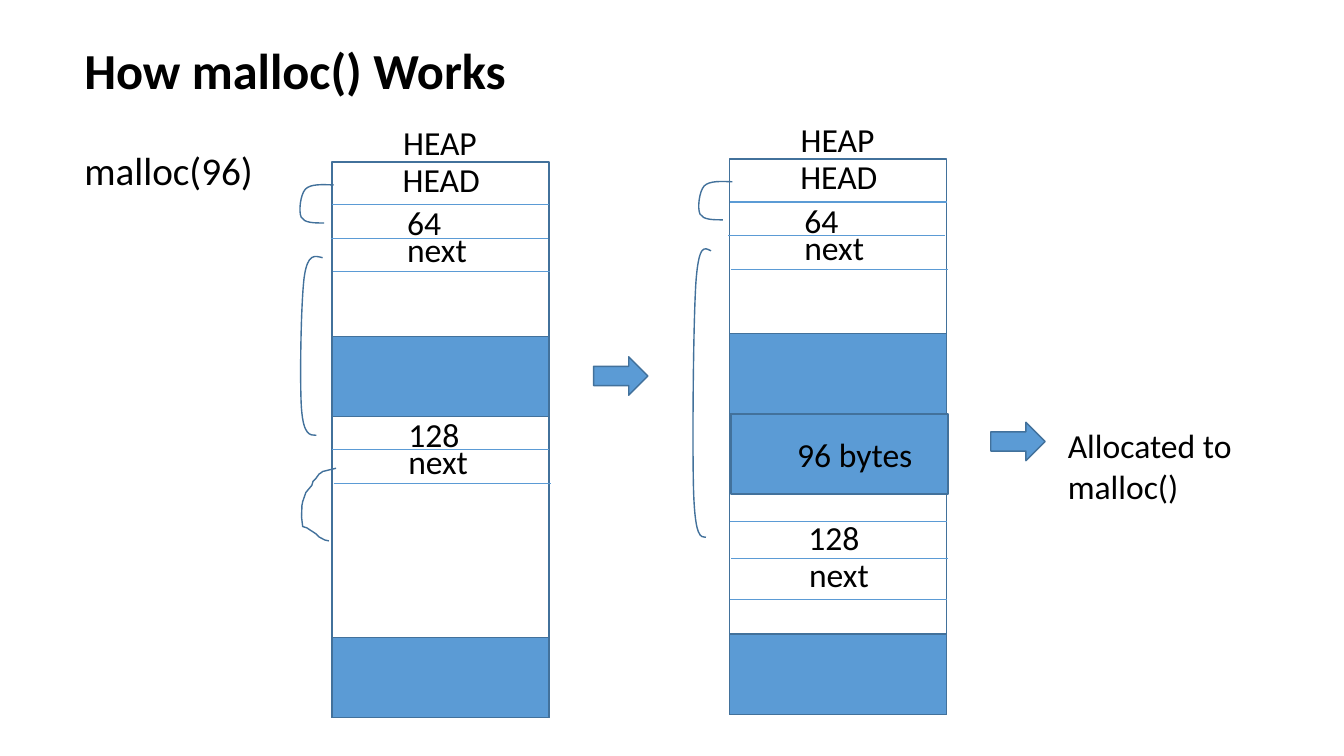
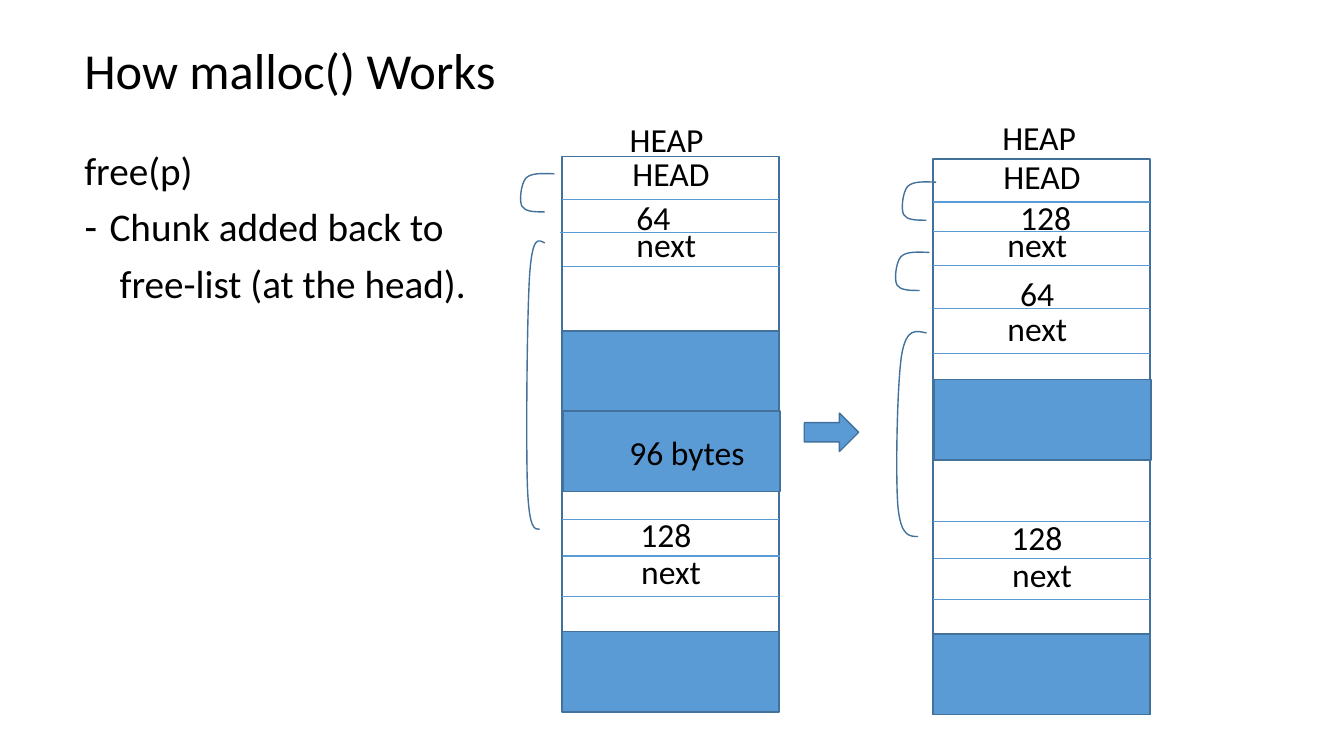
"""Build two slides showing how malloc() and free() change the heap."""
from lxml import etree
from pptx import Presentation
from pptx.dml.color import RGBColor
from pptx.enum.shapes import MSO_CONNECTOR, MSO_SHAPE
from pptx.enum.text import MSO_ANCHOR, MSO_AUTO_SIZE, PP_ALIGN
from pptx.oxml.ns import qn
from pptx.util import Cm, Pt

RECTANGLE, RIGHT_ARROW = MSO_SHAPE.RECTANGLE, MSO_SHAPE.RIGHT_ARROW
STRAIGHT = MSO_CONNECTOR.STRAIGHT
LEFT, TOP, MIDDLE = PP_ALIGN.LEFT, MSO_ANCHOR.TOP, MSO_ANCHOR.MIDDLE
NO_FIT = MSO_AUTO_SIZE.NONE

COLORS = {"text": "000000", "block": "5B9BD5", "edge": "42719B"}
FONT = "Calibri"
TITLE_SIZE, BODY_SIZE, LABEL_SIZE = 36, 28, 24
TITLE_BOX = (1.87, 0, 29.21, 3.68)
BODY_BOX = (1.87, 3.69, 29.67, 13.49)
HEAP_WIDTH, HEAP_HEIGHT, BLOCK_HEIGHT = 5.47, 14, 2.02
LABEL_HEIGHT = 1.27
LABEL_WIDTHS = {"HEAP": 2.39, "HEAD": 2.46, "64": 1.37, "128": 1.8,
                "next": 2.03, "96 bytes": 3.45}
ARROW_WIDTH, ARROW_HEIGHT = 1.37, 0.97
HOOK = (0.86, 0.97)

BRACKET = [
    (1, 0.01),
    (0.66, 0), (0.33, -0.02), (0.17, 0.12),
    (0.02, 0.27), (-0.03, 0.71), (0.05, 0.85),
    (0.14, 1), (0.43, 1), (0.72, 1),
]
LAST_LINK = [
    (0.1, 7.72), (-0.23, 7.8), (-0.33, 7.87), (-0.41, 7.98),
    (-0.48, 8.05), (-0.51, 8.15), (-0.66, 8.33), (-0.74, 8.56),
    (-0.76, 8.66), (-0.77, 8.95), (-0.74, 9.19), (-0.64, 9.22),
    (-0.41, 9.37), (-0.33, 9.45), (-0.18, 9.53), (-0.08, 9.55),
]

LOWER_CHUNK = [("128", 1.73, 8.89), ("next", 1.75, 9.83)]
LOWER_ROWS = [(0, 9.14), (0.04, 10.07), (0, 11.1)]
BEFORE = {
    "blocks": [(0, 4.4), (0, 11.98)],
    "rows": [(0, 1.08), (-0.04, 1.93), (0.03, 2.77), (0, 7.25), (0.04, 8.11)],
    "labels": [("64", 1.64, 0.89), ("next", 1.64, 1.57),
               ("128", 1.67, 6.23), ("next", 1.67, 6.9)],
}
ALLOCATED = {
    "blocks": [(0, 4.4), (0.03, 6.42), (0, 11.97)],
    "rows": [(0, 1.08), (-0.04, 1.93), (0.03, 2.78)] + LOWER_ROWS,
    "labels": [("64", 1.63, 0.9), ("next", 1.63, 1.58),
               ("96 bytes", 1.45, 6.81)] + LOWER_CHUNK,
}
FREED = {
    "blocks": [(0.03, 5.56), (0, 11.97)],
    "rows": [(0, 1.08), (0, 1.83), (0, 2.68), (0, 3.77), (0, 4.9)]
    + LOWER_ROWS,
    "labels": [("128", 1.95, 0.82), ("next", 1.63, 1.51),
               ("64", 1.95, 2.74), ("next", 1.63, 3.62)] + LOWER_CHUNK,
}

SLIDES = [
    {
        "title": "How malloc() Works",
        "bold": True,
        "body": [("malloc(96)", 0, None)],
        "heaps": [
            {"at": (8.37, 4.08), "caption": (1.54, -1.13), "layout": BEFORE,
             "brackets": [(-0.82, 0.57, *HOOK), (-0.8, 2.37, 0.56, 4.52)],
             "links": [LAST_LINK]},
            {"at": (18.39, 4.01), "caption": (1.54, -1.14),
             "layout": ALLOCATED,
             "brackets": [(-0.79, 0.56, *HOOK), (-0.93, 2.24, 0.46, 7.29)],
             "links": []},
        ],
        "arrows": [(14.96, 8.99), (24.97, 10.64)],
        "notes": [(["Allocated to", "malloc()"], (26.66, 10.59, 4.67, 2.31))],
    },
    {
        "title": "How malloc() Works",
        "bold": False,
        "body": [("free(p)", 0, None), ("Chunk added back to", 0.64, "-"),
                 ("free-list (at the head).", 0.89, None)],
        "heaps": [
            {"at": (14.16, 3.94), "caption": (1.46, -1.07),
             "layout": ALLOCATED,
             "brackets": [(-1.05, 0.43, *HOOK), (-0.89, 2.11, 0.46, 7.29)],
             "links": []},
            {"at": (23.51, 4.01), "caption": (1.5, -1.2), "layout": FREED,
             "brackets": [(-0.78, 0.57, *HOOK), (-0.95, 2.34, *HOOK),
                          (-0.92, 4.33, 0.76, 5.18)],
             "links": []},
        ],
        "arrows": [(20.27, 10.41)],
        "notes": [],
    },
]


def rgb(name):
    return RGBColor.from_string(COLORS[name])


def lengths(values):
    return [Cm(value) for value in values]


def apply(target, formats):
    for name, value in formats.items():
        setattr(target, name, value)


def write(paragraph, text, size, bold=False):
    run = paragraph.add_run()
    run.text = text
    apply(run.font, {"name": FONT, "size": Pt(size), "bold": bold})
    run.font.color.rgb = rgb("text")


def set_edge(shape):
    shape.shadow.inherit = False
    shape.line.color.rgb = rgb("edge")
    shape.line.width = Pt(1)


def add_box(slide, kind, box, filled=True):
    shape = slide.shapes.add_shape(kind, *lengths(box))
    set_edge(shape)
    if filled:
        shape.fill.solid()
        shape.fill.fore_color.rgb = rgb("block")
    else:
        shape.fill.background()


def add_text(slide, lines, box, wrap=False):
    frame = slide.shapes.add_textbox(*lengths(box)).text_frame
    frame.word_wrap = wrap
    for index, text in enumerate(lines):
        paragraph = frame.add_paragraph() if index else frame.paragraphs[0]
        write(paragraph, text, LABEL_SIZE)


def add_row_line(slide, left, y):
    row = slide.shapes.add_connector(
        STRAIGHT, *lengths((left, y, left + HEAP_WIDTH, y)))
    row.line.color.rgb = rgb("block")
    row.line.width = Pt(0.75)
    etree.SubElement(row._element.spPr, qn("a:effectLst"))


def add_path(slide, points):
    start, *rest = [lengths(point) for point in points]
    builder = slide.shapes.build_freeform(*start)
    builder.add_line_segments(rest, close=False)
    path = builder.convert_to_shape()
    set_edge(path)
    path.fill.background()
    return path


def add_bracket(slide, left, top, width, height):
    bracket = add_path(slide, [(left + x * width, top + y * height)
                               for x, y in BRACKET])
    segments = list(bracket._element.iter(qn("a:lnTo")))
    outline = segments[0].getparent()
    for first in range(0, len(segments), 3):
        curve = etree.SubElement(outline, qn("a:cubicBezTo"))
        for segment in segments[first:first + 3]:
            curve.append(segment[0])
            outline.remove(segment)


def add_heap(slide, heap):
    left, top = heap["at"]
    layout = heap["layout"]
    add_box(slide, RECTANGLE, (left, top, HEAP_WIDTH, HEAP_HEIGHT), False)
    for x, y in layout["blocks"]:
        add_box(slide, RECTANGLE,
                (left + x, top + y, HEAP_WIDTH, BLOCK_HEIGHT))
    for x, y in layout["rows"]:
        add_row_line(slide, left + x, top + y)
    headings = [("HEAP", *heap["caption"]), ("HEAD", 1.53, -0.2)]
    for text, x, y in headings + layout["labels"]:
        add_text(slide, [text],
                 (left + x, top + y, LABEL_WIDTHS[text], LABEL_HEIGHT))
    for x, y, width, height in heap["brackets"]:
        add_bracket(slide, left + x, top + y, width, height)
    for link in heap["links"]:
        add_path(slide, [(left + x, top + y) for x, y in link])


def set_up_layout(layout):
    title, body = layout.placeholders[0], layout.placeholders[1]
    for holder, box, anchor in ((title, TITLE_BOX, MIDDLE),
                                (body, BODY_BOX, TOP)):
        apply(holder, dict(zip(("left", "top", "width", "height"),
                               lengths(box))))
        apply(holder.text_frame, {"vertical_anchor": anchor,
                                  "word_wrap": True, "auto_size": NO_FIT})


def fill_title(slide, text, bold):
    paragraph = slide.shapes.title.text_frame.paragraphs[0]
    apply(paragraph, {"alignment": LEFT, "line_spacing": 0.9})
    write(paragraph, text, TITLE_SIZE, bold)


def fill_body(slide, items):
    frame = slide.placeholders[1].text_frame
    for index, (text, margin, bullet) in enumerate(items):
        paragraph = frame.add_paragraph() if index else frame.paragraphs[0]
        apply(paragraph, {"alignment": LEFT, "line_spacing": 0.9,
                          "space_before": Pt(10 if index else 0)})
        properties = paragraph._p.get_or_add_pPr()
        properties.set("marL", str(Cm(margin)))
        properties.set("indent", str(Cm(-margin if bullet else 0)))
        if bullet:
            etree.SubElement(properties, qn("a:buChar"), char=bullet)
        else:
            etree.SubElement(properties, qn("a:buNone"))
        write(paragraph, text, BODY_SIZE)


def main():
    deck = Presentation()
    deck.slide_width, deck.slide_height = Cm(33.87), Cm(19.05)
    layout = deck.slide_layouts[1]
    set_up_layout(layout)
    for content in SLIDES:
        slide = deck.slides.add_slide(layout)
        fill_title(slide, content["title"], content["bold"])
        fill_body(slide, content["body"])
        for heap in content["heaps"]:
            add_heap(slide, heap)
        for at in content["arrows"]:
            add_box(slide, RIGHT_ARROW, (*at, ARROW_WIDTH, ARROW_HEIGHT))
        for lines, box in content["notes"]:
            add_text(slide, lines, box, wrap=True)
    deck.save("out.pptx")


if __name__ == "__main__":
    main()
